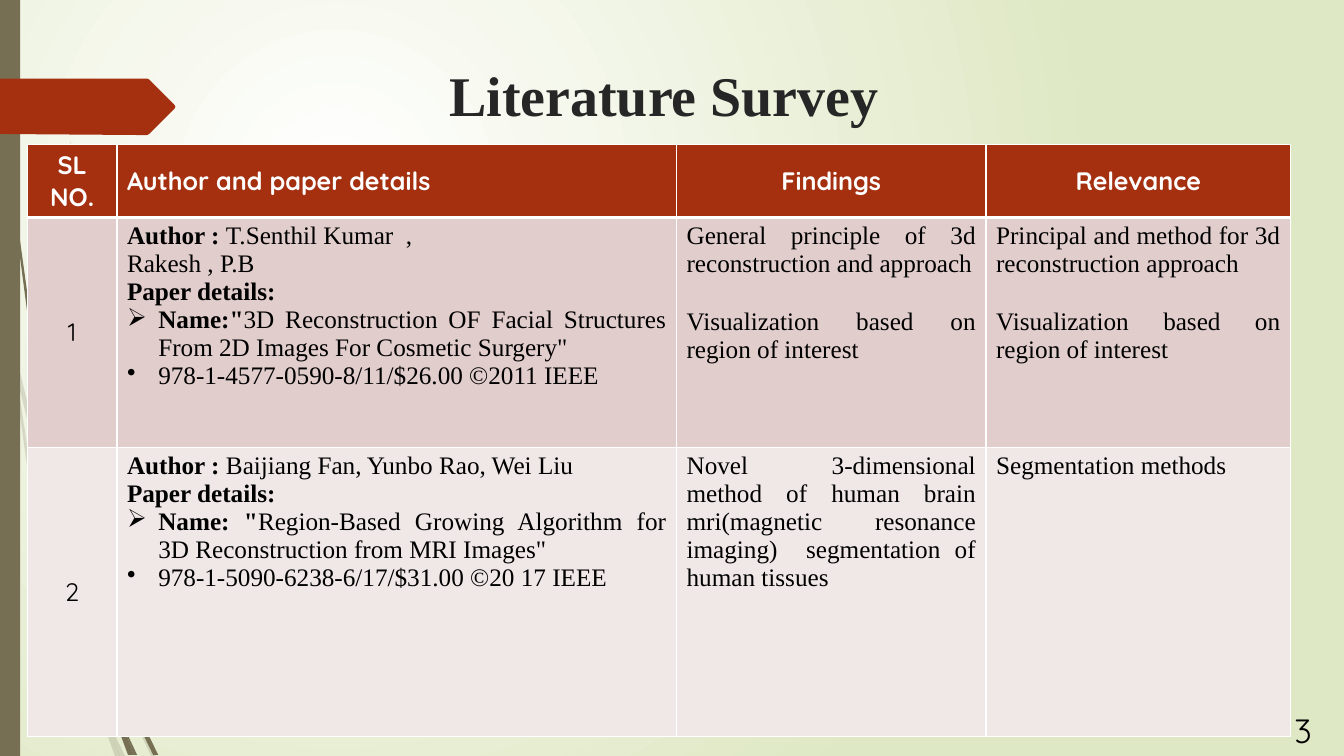
from lxml.etree import SubElement
from pptx import Presentation
from pptx.dml.color import RGBColor
from pptx.enum.shapes import MSO_SHAPE as Shape
from pptx.enum.text import MSO_ANCHOR as Anchor, PP_ALIGN as Align
from pptx.oxml.ns import qn
from pptx.util import Emu, Pt

PX = 9144  # 100 px to the inch
SERIF, SANS = "Times New Roman", "Quicksand"
BROWN, RUST, WHITE, BLACK = "766F54", "A53010", "FFFFFF", "000000"

# Stems of the grass at the left edge, as outlines in px
PALE_STEMS = [
    [(11, 350), (9, 322), (0, 282), (0, 299), (10, 344)],
    [(58, 522), (84, 599), (85, 586), (62, 520), (35, 432), (14, 345), (17, 376), (35, 449)],
    [(92, 607), (88, 596), (88, 610), (123, 694), (150, 750), (155, 750), (127, 692)],
    [(119, 750), (124, 750), (105, 711)],
    [(93, 683), (70, 619), (31, 469), (17, 376), (11, 350), (28, 470), (65, 621),
     (92, 693), (101, 714), (99, 707)],
    [(84, 599), (87, 646), (93, 683), (96, 692), (105, 711), (91, 646), (88, 608)],
    [(88, 584), (110, 462), (160, 349), (229, 245), (268, 198), (312, 154), (312, 153),
     (268, 197), (228, 244), (158, 348), (107, 461), (85, 584), (88, 596)],
    [(101, 714), (114, 750), (119, 750)],
    [(88, 608), (88, 596), (85, 586), (84, 599)],
    [(96, 692), (93, 683), (101, 714), (119, 750), (105, 711)],
]
DARK_STEMS = [
    [(7, 110), (17, 233), (33, 355), (56, 477), (57, 481), (55, 453), (36, 355),
     (19, 232), (8, 109), (5, 48), (4, 0), (3, 0), (4, 48)],
    [(88, 592), (106, 645), (106, 631), (93, 590), (60, 472), (64, 505)],
    [(113, 649), (110, 641), (111, 656), (132, 708), (152, 749), (157, 749), (136, 706)],
    [(110, 691), (98, 657), (72, 556), (64, 505), (57, 477), (68, 557), (93, 659),
     (111, 708), (117, 722)],
    [(60, 472), (58, 453), (54, 349), (58, 245), (63, 193), (70, 141), (62, 193),
     (56, 245), (52, 349), (55, 449)],
    [(133, 749), (136, 749), (122, 719)],
    [(57, 477), (64, 505), (60, 472), (55, 449)],
    [(111, 633), (125, 552), (158, 476), (205, 406), (245, 359), (261, 344), (245, 358),
     (204, 405), (156, 474), (122, 551), (106, 631), (110, 641)],
    [(117, 722), (127, 749), (131, 749)],
    [(106, 645), (110, 691), (116, 706), (122, 719), (111, 656)],
    [(106, 645), (111, 656), (110, 641), (106, 631)],
    [(116, 706), (110, 691), (117, 722), (130, 749), (133, 749), (122, 719)],
]
TAG = [(173, 108), (148, 133), (146, 134), (136, 134), (0, 133), (0, 78),
       (146, 78), (148, 79), (173, 104), (174, 106)]

COLUMNS, ROWS = [89, 555, 307, 302], [72, 228, 287]
HEADERS = ["SL NO.", "Author and paper details", "Findings", "Relevance"]
VISUALS = ("", "", "Visualization based on region of interest", 21)
# Each line is (bullet, bold part, plain part, points before)
PAPERS = [
    ("E1CDCC", [
        [("", "Author : ", "T.Senthil Kumar  ,", 0), ("", "", "Rakesh , P.B", 0),
         ("", "Paper details:", "", 0),
         ("➢", 'Name:"',
          '3D Reconstruction OF Facial Structures From 2D Images For Cosmetic Surgery"', 0),
         ("•", "", "978-1-4577-0590-8/11/$26.00 ©2011 IEEE", 0)],
        [("", "", "General principle of 3d reconstruction and approach", 0), VISUALS],
        [("", "", "Principal and method for 3d reconstruction approach", 0), VISUALS]]),
    ("F0E8E7", [
        [("", "Author : ", "Baijiang Fan, Yunbo Rao, Wei Liu", 0),
         ("", "Paper details:", "", 0),
         ("➢", 'Name: "',
          'Region-Based Growing Algorithm for 3D Reconstruction from MRI Images"', 0),
         ("•", "", "978-1-5090-6238-6/17/$31.00 ©20 17 IEEE", 0)],
        [("", "", "Novel 3-dimensional method of human brain mri(magnetic resonance "
          "imaging)  segmentation of human tissues", 0)],
        [("", "", "Segmentation methods", 0)]]),
]


def px(*lengths):
    return [Emu(length * PX) for length in lengths]


def paint(fill, color):
    fill.solid()
    fill.fore_color.rgb = RGBColor.from_string(color)


def set_font(para, name, size, color, bold=False):
    font = para.font
    font.name, font.size, font.bold = name, Pt(size), bold
    font.color.rgb = RGBColor.from_string(color)


def finish(shape, color, opacity=100):
    paint(shape.fill, color)
    shape.line.fill.background()
    shape.shadow.inherit = False
    if opacity < 100:
        tint = shape.fill._xPr.find(".//" + qn("a:srgbClr"))
        SubElement(tint, qn("a:alpha"), val=str(opacity * 1000))


def add_outline(page, points, color, opacity=100):
    builder = page.shapes.build_freeform(*points[0], scale=PX)
    builder.add_line_segments(points[1:], close=True)
    finish(builder.convert_to_shape(), color, opacity)


def set_background(page):
    fill = page.background.fill
    fill.gradient()
    for stop, position, color in zip(fill.gradient_stops, (0, 1), (WHITE, "DFE8C4")):
        stop.position = position
        stop.color.rgb = RGBColor.from_string(color)
    gradient = page.element.find(".//" + qn("a:gradFill"))
    gradient.remove(gradient.find(qn("a:lin")))
    circle = SubElement(gradient, qn("a:path"), path="circle")
    SubElement(circle, qn("a:fillToRect"), l="50000", t="50000", r="100000", b="100000")


def add_title(page, text):
    title = page.shapes.title
    title.left, title.top, title.width, title.height = px(43, 44, 1231, 98)
    title.text_frame.text = text
    title.text_frame.vertical_anchor = Anchor.MIDDLE
    para = title.text_frame.paragraphs[0]
    para.alignment = Align.CENTER
    set_font(para, SERIF, 40, "262626", True)


def style_cell(cell, color, top, bottom):
    paint(cell.fill, color)
    properties = cell._tc.get_or_add_tcPr()
    sides = [("a:lnL", 1), ("a:lnR", 1), ("a:lnT", top), ("a:lnB", bottom)]
    for place, (side, width) in enumerate(sides):
        line = SubElement(properties, qn(side), w=str(Pt(width)))
        solid = SubElement(line, qn("a:solidFill"))
        SubElement(solid, qn("a:srgbClr"), val=WHITE)
        properties.insert(place, line)  # borders come before the fill


def write_label(cell, text, color, bold, align=Align.CENTER):
    cell.text = text
    cell.vertical_anchor = Anchor.MIDDLE
    para = cell.text_frame.paragraphs[0]
    para.alignment = align
    set_font(para, SANS, 18, color, bold)


def write_lines(cell, lines):
    frame = cell.text_frame
    for index, (bullet, strong, plain, before) in enumerate(lines):
        para = frame.add_paragraph() if index else frame.paragraphs[0]
        para.alignment = Align.JUSTIFY
        if before:
            para.space_before = Pt(before)
        if bullet:
            properties = para._p.get_or_add_pPr()
            properties.set("marL", str(31 * PX))
            properties.set("indent", str(-31 * PX))
            SubElement(properties, qn("a:buChar"), char=bullet)
        set_font(para, SERIF, 18, BLACK, not plain)
        for text, bold in ((strong, True), (plain, False)):
            if text:
                span = para.add_run()
                span.text = text
                if strong and plain:
                    span.font.bold = bold


def add_survey(page):
    table = page.shapes.add_table(len(ROWS), len(COLUMNS),
                                  *px(27, 143, sum(COLUMNS), sum(ROWS))).table
    table.horz_banding = False
    for column, width in zip(table.columns, COLUMNS):
        column.width = Emu(width * PX)
    for row, height in zip(table.rows, ROWS):
        row.height = Emu(height * PX)
    for index, header in enumerate(HEADERS):
        cell = table.cell(0, index)
        style_cell(cell, RUST, 1, 3)
        write_label(cell, header, WHITE, True, Align.LEFT if index == 1 else Align.CENTER)
    for number, (color, details) in enumerate(PAPERS, 1):
        for index in range(len(COLUMNS)):
            style_cell(table.cell(number, index), color, 3 if number == 1 else 1, 1)
        write_label(table.cell(number, 0), str(number), BLACK, False)
        for index, lines in enumerate(details, 1):
            write_lines(table.cell(number, index), lines)


def add_page_number(page, number):
    box = page.shapes.add_textbox(*px(1274, 699, 59, 50))
    box.text_frame.word_wrap = True
    box.text_frame.text = number
    set_font(box.text_frame.paragraphs[0], SANS, 24, BLACK)


def main():
    deck = Presentation()
    deck.slide_width, deck.slide_height = px(1333, 750)
    page = deck.slides.add_slide(deck.slide_layouts[5])
    set_background(page)
    # Grass, side bar and tag
    for stems, opacity in ((PALE_STEMS, 20), (DARK_STEMS, 100)):
        for stem in stems:
            add_outline(page, stem, BROWN, opacity)
    finish(page.shapes.add_shape(Shape.RECTANGLE, *px(0, 0, 20, 750)), BROWN)
    add_outline(page, TAG, RUST)
    # Content
    add_title(page, "Literature Survey")
    add_survey(page)
    add_page_number(page, "3")
    deck.save("out.pptx")


if __name__ == "__main__":
    main()
